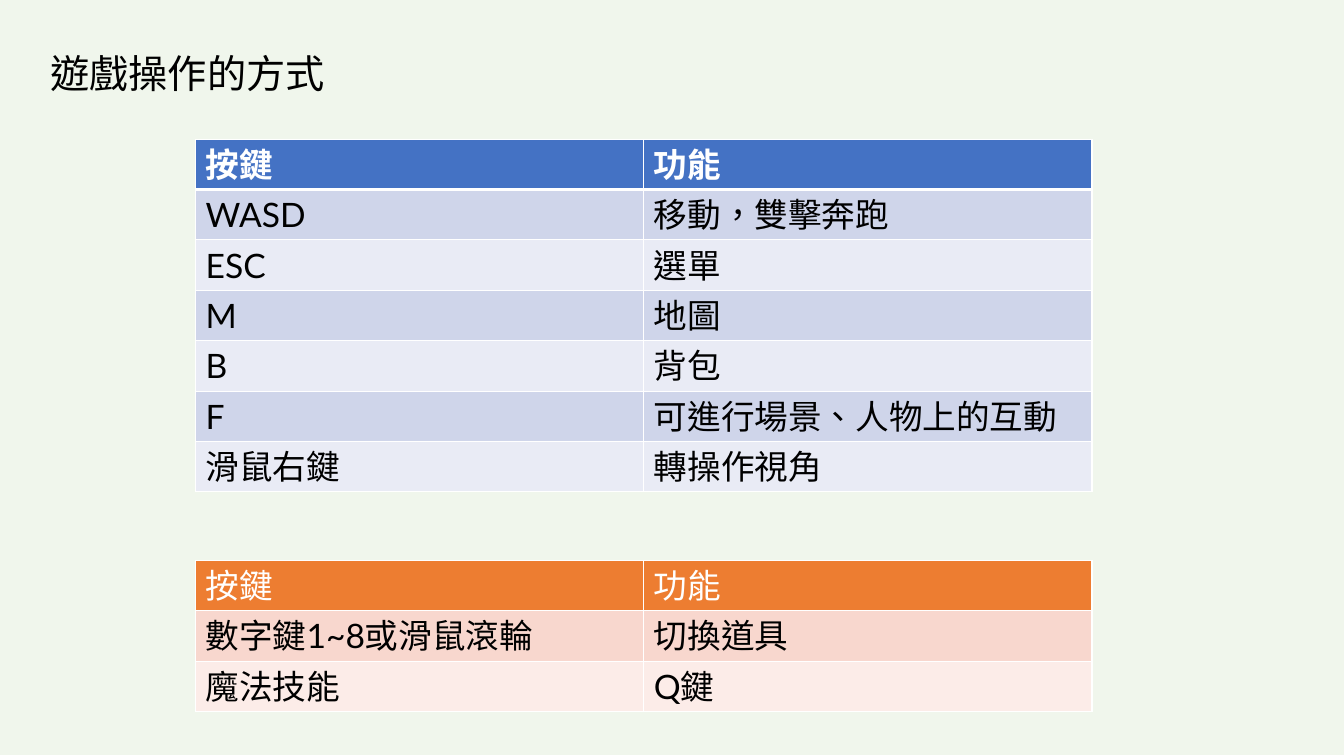
from lxml import etree
from pptx import Presentation
from pptx import util as u
from pptx.dml.color import RGBColor
from pptx.enum import lang, shapes, text
from pptx.oxml import ns

# Content
TITLE = "遊戲操作的方式"
HEADER = ("按鍵", "功能")
BASIC_KEYS = [
    HEADER,
    ("WASD", "移動，雙擊奔跑"),
    ("ESC", "選單"),
    ("M", "地圖"),
    ("B", "背包"),
    ("F", "可進行場景、人物上的互動"),
    ("滑鼠右鍵", "轉操作視角"),
]
ITEM_KEYS = [
    HEADER,
    ("數字鍵1~8或滑鼠滾輪", "切換道具"),
    ("魔法技能", "Q鍵"),
]

# Style
FONT = "Lato"
COLOURS = {
    "tint": "70AD47", "text": "000000", "white": "FFFFFF",
    "blue": "4472C4", "blue_dark": "CFD5EA", "blue_light": "E9EBF5",
    "orange": "ED7D31", "orange_dark": "F8D7CE", "orange_light": "FCECE8",
}

# Grid in inches
WIDTH, HEIGHT = 13.33, 7.5
TABLE_LEFT, TABLE_WIDTH, ROW = 1.94, 8.89, 0.5
# rows, top, colour family, bold header, rule under the header in points
TABLES = [
    (BASIC_KEYS, 1.38, "blue", True, 3),
    (ITEM_KEYS, 5.56, "orange", False, 1),
]


def colour(name):
    return RGBColor.from_string(COLOURS[name])


def format_text(text_frame, size, colour_name, bold=False):
    for run in text_frame.paragraphs[0].runs:
        run.font.name = FONT
        run.font.size = u.Pt(size)
        run.font.bold = bold
        run.font.color.rgb = colour(colour_name)
        run.font.language_id = lang.MSO_LANGUAGE_ID.TRADITIONAL_CHINESE
        etree.SubElement(run.font._element, ns.qn("a:ea"), typeface=FONT)


def set_borders(cell, top, bottom):
    properties = cell._tc.get_or_add_tcPr()
    widths = {"a:lnL": 1, "a:lnR": 1, "a:lnT": top, "a:lnB": bottom}
    for position, (tag, width) in enumerate(widths.items()):
        line = etree.Element(ns.qn(tag), w=str(u.Pt(width)))
        fill = etree.SubElement(line, ns.qn("a:solidFill"))
        etree.SubElement(fill, ns.qn("a:srgbClr"), val=COLOURS["white"])
        properties.insert(position, line)


def add_tint(slide):
    tint = slide.shapes.add_shape(shapes.MSO_SHAPE.RECTANGLE, 0, 0,
                                  u.Inches(WIDTH), u.Inches(HEIGHT - 0.01))
    tint.shadow.inherit = False
    tint.line.fill.background()
    tint.fill.solid()
    tint.fill.fore_color.rgb = colour("tint")
    fill_colour = tint._element.spPr.find(".//" + ns.qn("a:srgbClr"))
    etree.SubElement(fill_colour, ns.qn("a:alpha"), val="10000")
    # Behind the title
    slide.shapes._spTree.insert(2, tint._element)


def add_key_table(slide, rows, top, family, bold_header, rule):
    table = slide.shapes.add_table(
        len(rows), len(HEADER), u.Inches(TABLE_LEFT), u.Inches(top),
        u.Inches(TABLE_WIDTH), u.Inches(ROW * len(rows))).table
    bands = (family + "_light", family + "_dark")
    for i, row in enumerate(rows):
        is_header = i == 0
        for j, words in enumerate(row):
            cell = table.cell(i, j)
            cell.text_frame.text = words
            # Lets the tall glyphs fit without stretching the row
            cell.margin_bottom = u.Inches(-0.05)
            format_text(cell.text_frame, 24, "white" if is_header else "text",
                        is_header and bold_header)
            cell.fill.solid()
            cell.fill.fore_color.rgb = colour(family if is_header else bands[i % 2])
            set_borders(cell, rule if i == 1 else 1, rule if is_header else 1)


def main():
    presentation = Presentation()
    presentation.slide_width = u.Inches(WIDTH)
    presentation.slide_height = u.Inches(HEIGHT)
    slide = presentation.slides.add_slide(presentation.slide_layouts[5])
    add_tint(slide)

    # Title
    title = slide.shapes.title
    title.left, title.top = u.Inches(WIDTH * 0.03), u.Inches(0.44)
    title.width, title.height = u.Inches(WIDTH / 2), u.Inches(0.57)
    title.text_frame.text = TITLE
    title.text_frame.vertical_anchor = text.MSO_ANCHOR.TOP
    title.text_frame.auto_size = text.MSO_AUTO_SIZE.NONE
    title.text_frame.paragraphs[0].alignment = text.PP_ALIGN.LEFT
    format_text(title.text_frame, 28, "text")

    # Key tables
    for key_table in TABLES:
        add_key_table(slide, *key_table)

    presentation.save("out.pptx")


if __name__ == "__main__":
    main()
